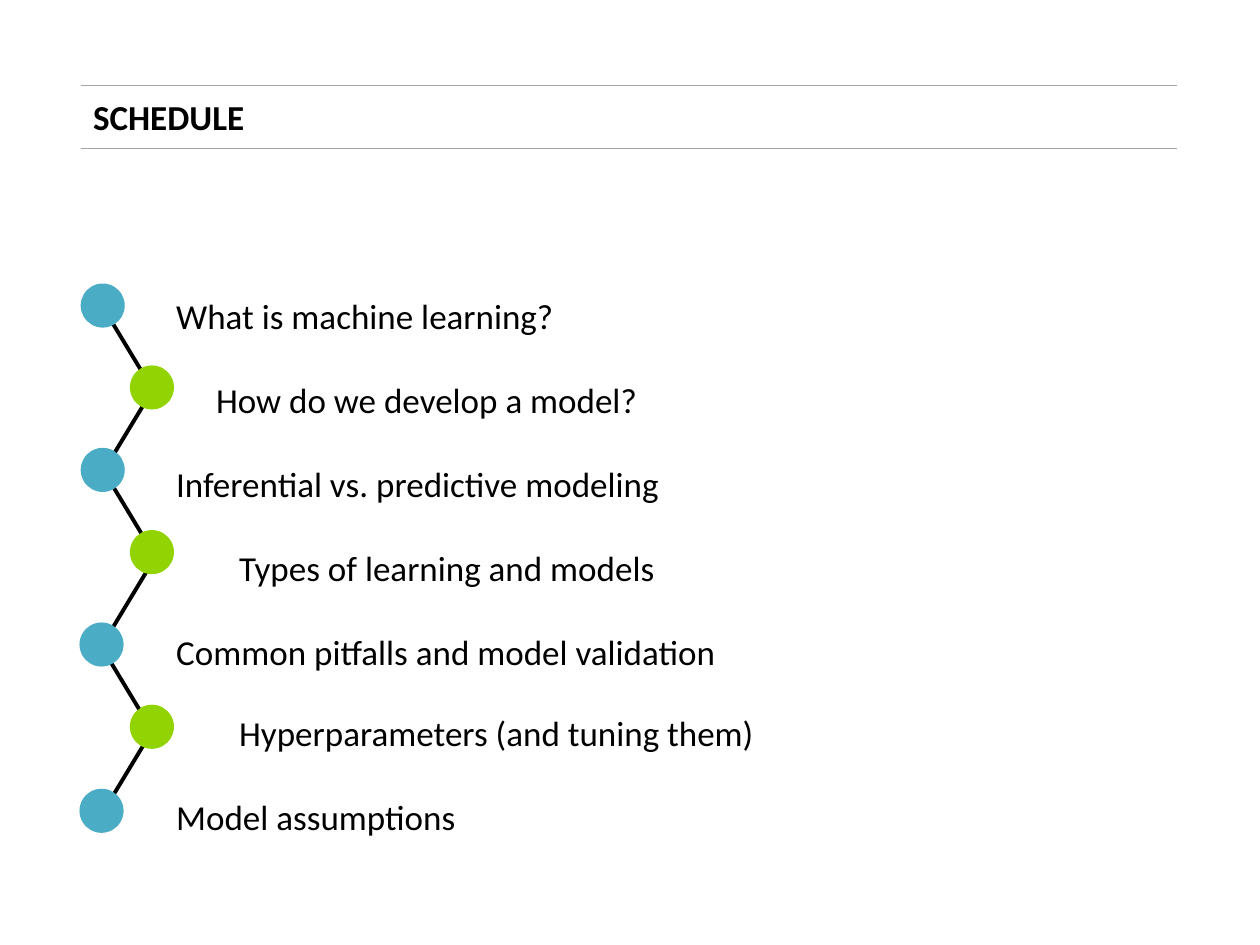
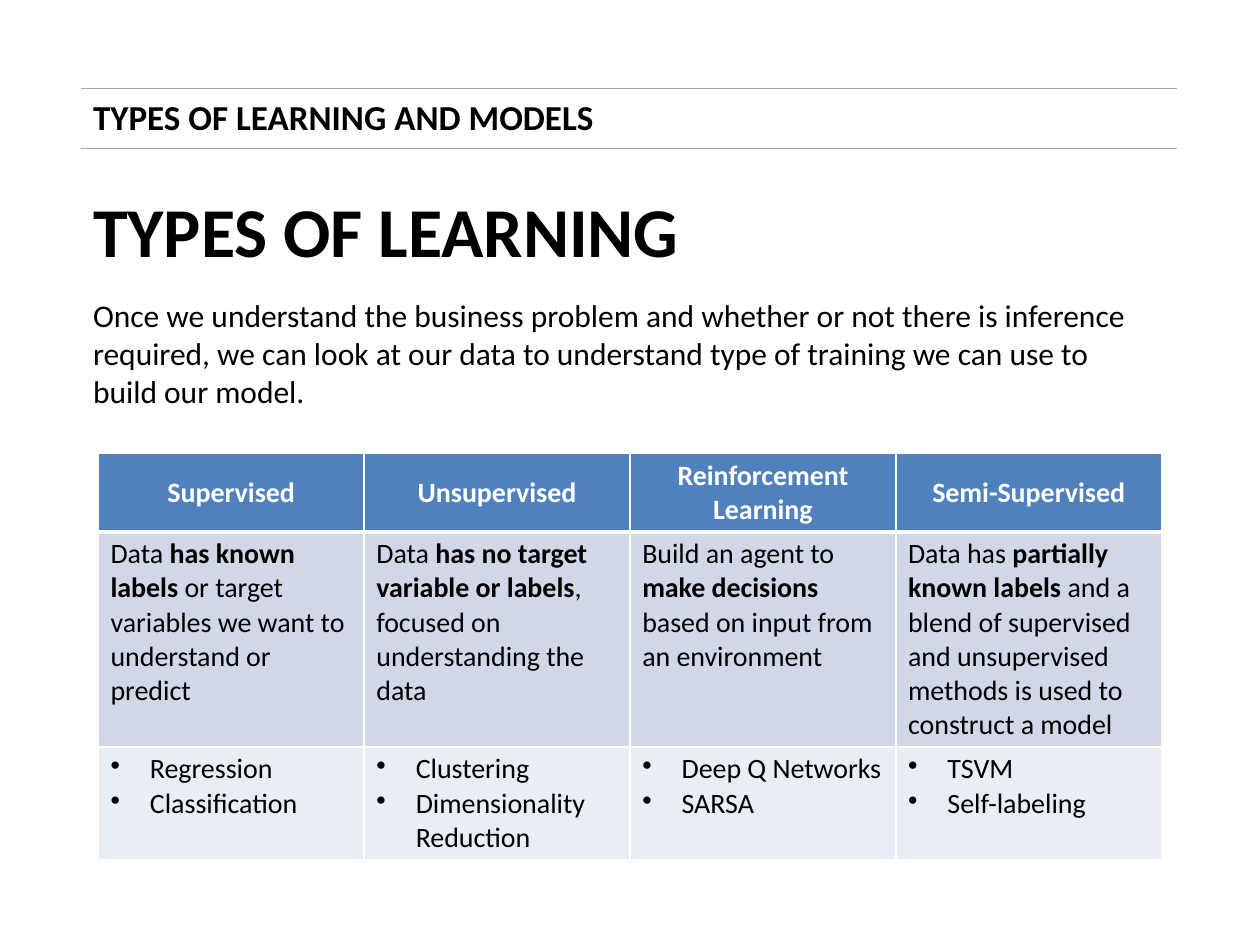
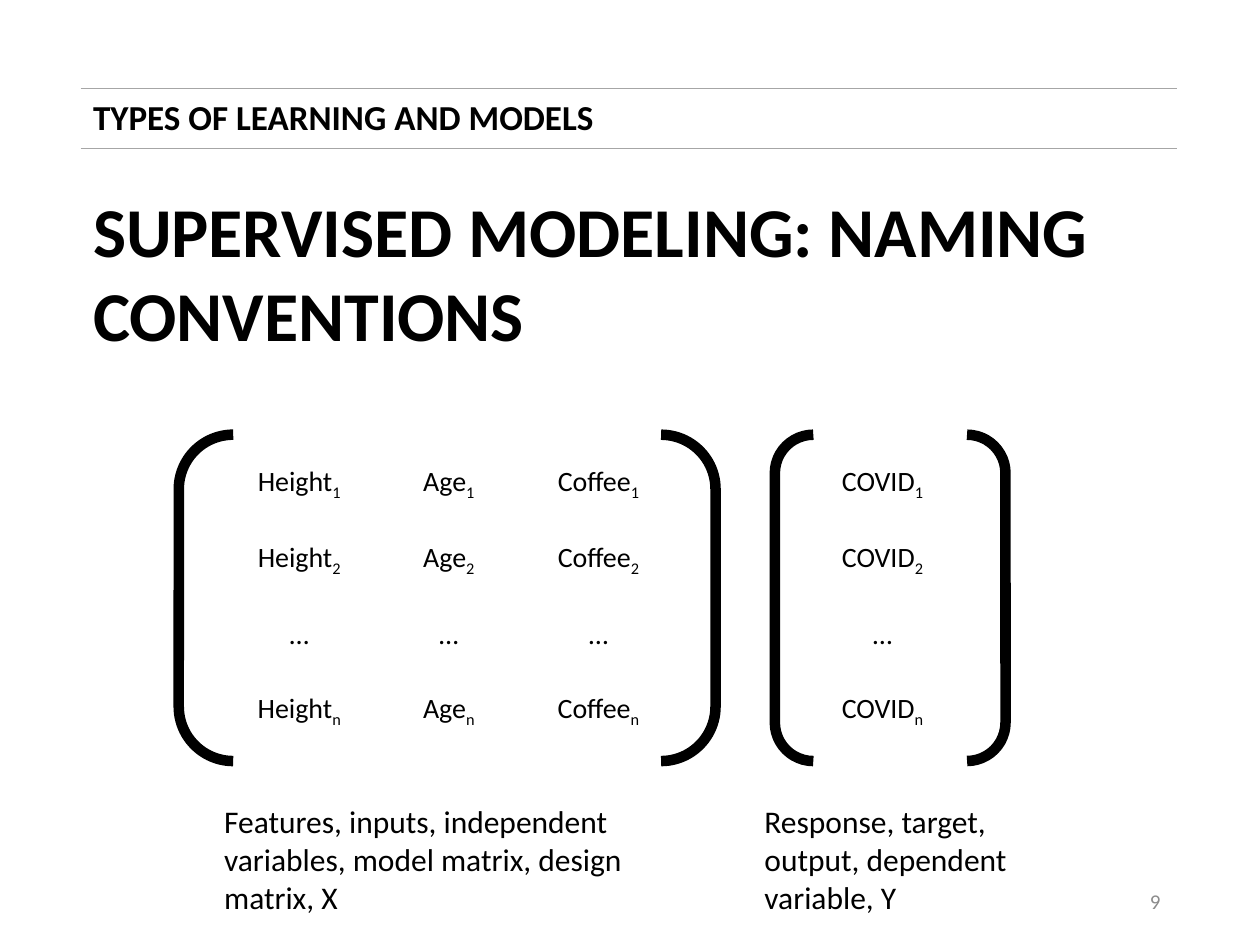
from typing import NamedTuple, Sequence, Union

from lxml import etree
from pptx import Presentation
from pptx.dml.color import RGBColor
from pptx.enum.shapes import MSO_CONNECTOR, MSO_SHAPE
from pptx.enum.text import MSO_ANCHOR, MSO_AUTO_SIZE, PP_ALIGN
from pptx.oxml.ns import qn
from pptx.util import Pt

STRAIGHT = MSO_CONNECTOR.STRAIGHT
OVAL, BRACKETS = MSO_SHAPE.OVAL, MSO_SHAPE.DOUBLE_BRACKET
TOP, MIDDLE = MSO_ANCHOR.TOP, MSO_ANCHOR.MIDDLE
LEFT, CENTER, RIGHT = PP_ALIGN.LEFT, PP_ALIGN.CENTER, PP_ALIGN.RIGHT
FIT_SHAPE, NO_FIT = MSO_AUTO_SIZE.SHAPE_TO_FIT_TEXT, MSO_AUTO_SIZE.NONE

# Shared look
FONT = "Calibri"
BLACK = RGBColor(0, 0, 0)
WHITE = RGBColor(255, 255, 255)
RULE_GREY = RGBColor(0xA6, 0xA6, 0xA6)
NUMBER_GREY = RGBColor(0x8C, 0x8C, 0x8C)
TEAL = RGBColor(0x4B, 0xAC, 0xC6)
LIME = RGBColor(0x92, 0xD4, 0x03)
HEADER_BLUE = RGBColor(0x4F, 0x81, 0xBD)
BAND_DARK = RGBColor(0xD0, 0xD8, 0xE8)
BAND_LIGHT = RGBColor(0xE9, 0xED, 0xF4)
MARGIN, RULE_END = 46.1, 672.5


class Run(NamedTuple):
    text: str
    bold: bool = False
    subscript: bool = False


Paragraph = Union[str, Sequence[Run]]


class Box(NamedTuple):
    left: float
    top: float
    width: float
    height: float

    def points(self) -> list:
        return [Pt(length) for length in self]


class Topic(NamedTuple):
    text: str
    indent: float
    space_before: float
    node_left: float
    node_top: float
    strand_start: tuple = ()


class Learning(NamedTuple):
    kind: str
    description: Sequence[Run]
    methods: Sequence[str]


class Matrix(NamedTuple):
    variables: Sequence[str]
    brackets: Box
    table_left: float
    caption: str
    caption_left: float
    caption_width: float
    bordered: bool


# Drawing functions
def write(frame, paragraphs: Sequence[Paragraph], *, size: float, color=BLACK,
          bold=False, align=LEFT, bullet_indent: float = 0) -> None:
    """Fill a text frame or a cell's frame with formatted paragraphs."""
    for index, content in enumerate(paragraphs):
        paragraph = frame.paragraphs[0] if index == 0 else frame.add_paragraph()
        paragraph.alignment = align
        for part in [Run(content)] if isinstance(content, str) else content:
            run = paragraph.add_run()
            run.text = part.text
            run.font.name, run.font.size = FONT, Pt(size)
            run.font.bold = bold or part.bold
            run.font.color.rgb = color
            if part.subscript:
                run._r.get_or_add_rPr().set("baseline", "-25000")
        if bullet_indent:
            properties = paragraph._p.get_or_add_pPr()
            properties.set("marL", str(Pt(bullet_indent)))
            properties.set("indent", str(-Pt(bullet_indent)))
            etree.SubElement(properties, qn("a:buChar")).set("char", "•")


def add_text(slide, box: Box, paragraphs: Sequence[Paragraph], *, wrap=True,
             fit=FIT_SHAPE, anchor=TOP, **text_format):
    frame = slide.shapes.add_textbox(*box.points()).text_frame
    frame.word_wrap, frame.auto_size = wrap, fit
    frame.vertical_anchor = anchor
    write(frame, paragraphs, **text_format)
    return frame


def add_line(slide, x1: float, y1: float, x2: float, y2: float,
             color: RGBColor, width: float) -> None:
    line = slide.shapes.add_connector(STRAIGHT, Pt(x1), Pt(y1), Pt(x2), Pt(y2))
    line.line.color.rgb, line.line.width = color, Pt(width)
    etree.SubElement(line._element.spPr, qn("a:effectLst"))


def add_table(slide, box: Box, rows: int, columns: int):
    table = slide.shapes.add_table(rows, columns, *box.points()).table
    table.first_row = table.horz_banding = False
    for column in table.columns:
        column.width = Pt(box.width / columns)
    return table


def add_borders(cell, bottom: float = 1, top: float = 1) -> None:
    """White cell borders; they must come before the fill in the XML."""
    properties = cell._tc.get_or_add_tcPr()
    widths = (("a:lnL", 1), ("a:lnR", 1), ("a:lnT", top), ("a:lnB", bottom))
    for place, (tag, width) in enumerate(widths):
        border = etree.Element(qn(tag), w=str(Pt(width)))
        fill = etree.SubElement(border, qn("a:solidFill"))
        etree.SubElement(fill, qn("a:srgbClr")).set("val", str(WHITE))
        properties.insert(place, border)


def new_slide(deck, section: str, section_width: float, rule_top: float = 50.4,
              title: Sequence[str] = (), title_size: tuple = (0, 0)):
    """Blank slide with the section band and an optional large title."""
    slide = deck.slides.add_slide(deck.slide_layouts[6])
    for y in (rule_top, 85):
        add_line(slide, MARGIN, y, RULE_END, y, RULE_GREY, 0.75)
    add_text(slide, Box(MARGIN, 51.1, section_width, 31.7), [section],
             wrap=False, size=20, bold=True)
    if title:
        add_text(slide, Box(MARGIN, 103.7, *title_size), title,
                 wrap=False, size=40, bold=True)
    return slide


# Content
OUTER, INNER, NODE = 46.1, 74.2, 25.2
STRAND_WIDTH, STRAND_HEIGHT = 27.4, 45.4
TOPICS = [
    Topic("What is machine learning?", 0, 6, OUTER, 162, (59.8, 177.1)),
    Topic("How do we develop a model?", 22.8, 6, INNER, 208.8, (87.8, 221.8)),
    Topic("Inferential vs. predictive modeling", 0, 6, OUTER, 255.9, (59.8, 270)),
    Topic("Types of learning and models", 36, 6, INNER, 302.9, (87.1, 321.1)),
    Topic("Common pitfalls and model validation", 0, 6, 45.4, 355.7, (58.3, 370.1)),
    Topic("Hyperparameters (and tuning them)", 36, 4, INNER, 402.7, (87.8, 416.2)),
    Topic("Model assumptions", 0, 6, 45.4, 450.7),
]
LEARNING_TYPES = [
    Learning("Supervised",
             [Run("Data "), Run("has known labels ", bold=True),
              Run("or target variables we want to understand or predict")],
             ["Regression", "Classification"]),
    Learning("Unsupervised",
             [Run("Data "), Run("has no target variable or labels", bold=True),
              Run(", focused on understanding the data")],
             ["Clustering", "Dimensionality Reduction"]),
    Learning("Reinforcement Learning",
             [Run("Build an agent to "), Run("make decisions", bold=True),
              Run(" based on input from an environment")],
             ["Deep Q Networks", "SARSA"]),
    Learning("Semi-Supervised",
             [Run("Data has "), Run("partially known labels", bold=True),
              Run(" and a blend of supervised and unsupervised methods "
                  "is used to construct a model")],
             ["TSVM", "Self-labeling"]),
]
MATRICES = [
    Matrix(["Height", "Age", "Coffee"], Box(102.2, 248.4, 306.7, 186.5), 128.2,
           "Features, inputs, independent variables, model matrix, "
           "design matrix, X", 121, 270.7, False),
    Matrix(["COVID"], Box(442.8, 248.4, 131.8, 186.5), 461.5,
           "Response, target, output, dependent variable, Y",
           429.8, 189.4, True),
]
SUBSCRIPTS = ["1", "2", "", "n"]
SECTION = "TYPES OF LEARNING AND MODELS"


# Slides
def build_schedule(deck) -> None:
    slide = new_slide(deck, "SCHEDULE", 101.5, rule_top=49)
    frame = add_text(slide, Box(93.6, 146.9, 561.6, 367.2),
                     [topic.text for topic in TOPICS], fit=NO_FIT, size=20)
    for topic, paragraph in zip(TOPICS, frame.paragraphs):
        paragraph.line_spacing = 1.75
        paragraph.space_before = Pt(topic.space_before)
        paragraph._p.get_or_add_pPr().set("marL", str(Pt(topic.indent)))

    # Zigzag strands, then the nodes over them
    for index, topic in enumerate(TOPICS[:-1]):
        x, y = topic.strand_start
        direction = 1 if index % 2 == 0 else -1
        add_line(slide, x, y, x + direction * STRAND_WIDTH, y + STRAND_HEIGHT,
                 BLACK, 2.25)
    for index, topic in enumerate(TOPICS):
        node = slide.shapes.add_shape(
            OVAL, *Box(topic.node_left, topic.node_top, NODE, NODE).points())
        node.shadow.inherit = False
        node.fill.solid()
        node.fill.fore_color.rgb = TEAL if index % 2 == 0 else LIME
        node.line.fill.background()


def build_learning_types(deck) -> None:
    slide = new_slide(deck, SECTION, 303.1, title=["TYPES OF LEARNING"],
                      title_size=(352.1, 55.4))
    add_text(slide, Box(MARGIN, 165.6, 618.5, 72.7),
             ["Once we understand the business problem and whether or not there "
              "is inference required, we can look at our data to understand type "
              "of training we can use to build our model."], size=18)

    table = add_table(slide, Box(56.2, 259.2, 607.7, 232.5), 3, len(LEARNING_TYPES))
    for row, height in zip(table.rows, (44.8, 123, 64.5)):
        row.height = Pt(height)
    for column, learning in enumerate(LEARNING_TYPES):
        header, description, methods = (table.cell(row, column) for row in range(3))
        for cell, fill in ((header, HEADER_BLUE), (description, BAND_DARK),
                           (methods, BAND_LIGHT)):
            cell.margin_top = cell.margin_bottom = Pt(2.9)
            cell.margin_left = cell.margin_right = Pt(7)
            cell.fill.solid()
            cell.fill.fore_color.rgb = fill
        add_borders(header, bottom=3)
        add_borders(description, top=3)
        add_borders(methods)
        header.vertical_anchor = MIDDLE
        write(header.text_frame, [learning.kind], size=16, color=WHITE,
              bold=True, align=CENTER)
        write(description.text_frame, [learning.description], size=16)
        write(methods.text_frame, learning.methods, size=16, bullet_indent=22.5)


def add_matrix(slide, matrix: Matrix) -> None:
    brackets = slide.shapes.add_shape(BRACKETS, *matrix.brackets.points())
    brackets.shadow.inherit = False
    brackets.fill.background()
    brackets.line.color.rgb, brackets.line.width = BLACK, Pt(6)

    columns = len(matrix.variables)
    table = add_table(slide, Box(matrix.table_left, 254.9, 85.5 * columns, 172.8),
                      len(SUBSCRIPTS), columns)
    for row, subscript in enumerate(SUBSCRIPTS):
        for column, variable in enumerate(matrix.variables):
            cell = table.cell(row, column)
            cell.fill.background()
            cell.vertical_anchor = MIDDLE
            if matrix.bordered:
                add_borders(cell, bottom=3 if row == 0 else 1,
                            top=3 if row == 1 else 1)
            entry = ([Run(variable), Run(subscript, subscript=True)]
                     if subscript else "…")
            write(cell.text_frame, [entry], size=16, align=CENTER)
    add_text(slide, Box(matrix.caption_left, 455, matrix.caption_width, 72.7),
             [matrix.caption], size=18)


def build_naming(deck) -> None:
    slide = new_slide(deck, SECTION, 303.1,
                      title=["SUPERVISED MODELING: NAMING", "CONVENTIONS"],
                      title_size=(589, 104.4))
    add_text(slide, Box(508.3, 500.4, 162, 28.8), ["9"], fit=NO_FIT,
             anchor=MIDDLE, size=12, color=NUMBER_GREY, align=RIGHT)
    for matrix in MATRICES:
        add_matrix(slide, matrix)


presentation = Presentation()
presentation.slide_width, presentation.slide_height = Pt(720), Pt(540)
build_schedule(presentation)
build_learning_types(presentation)
build_naming(presentation)
presentation.save("out.pptx")
